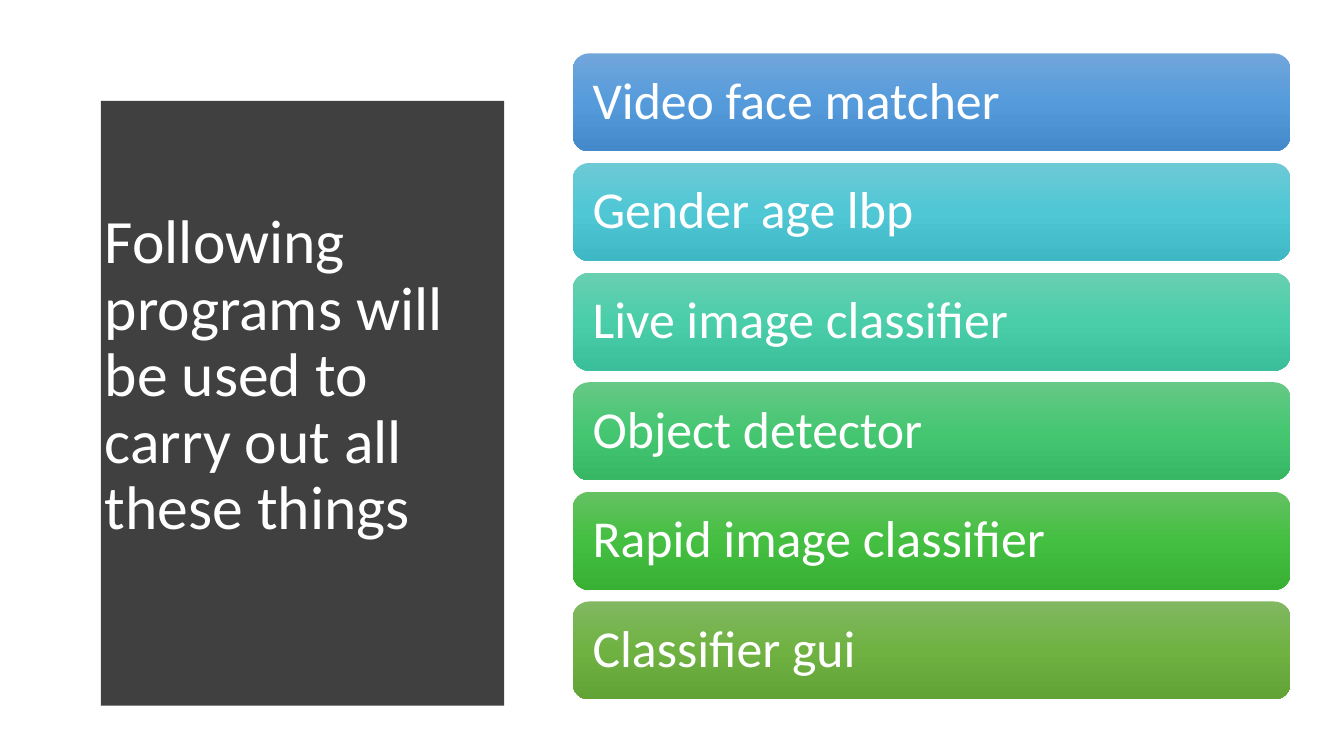
import copy
from dataclasses import dataclass

import pptx
import pptx.dml.color
import pptx.enum.shapes
import pptx.enum.text
import pptx.util

Inches = pptx.util.Inches
RGB = pptx.dml.color.RGBColor.from_string


@dataclass(frozen=True)
class Theme:
    font: str = "Calibri"
    text: str = "FFFFFF"
    panel: str = "404040"
    title_size: int = 44
    item_size: int = 37


THEME = Theme()
WIDTH, HEIGHT = 13.33, 7.5
TITLE = "Following programs will be used to carry out all these things"
PROGRAMS = [
    ("Video face matcher", ("71A6DB", "559BDB", "448ACA")),
    ("Gender age lbp", ("6DCAD5", "4FC7D5", "3FB7C4")),
    ("Live image classifier", ("69CFB1", "4ACEAA", "3BBE9A")),
    ("Object detector", ("66C885", "45C772", "37B764")),
    ("Rapid image classifier", ("64C162", "44BF41", "37B034")),
    ("Classifier gui", ("81B861", "6FB242", "62A336")),
]


def write(shape, text, size, inset=0.1):
    tf = shape.text_frame
    tf.word_wrap = True
    tf.auto_size = pptx.enum.text.MSO_AUTO_SIZE.NONE
    tf.vertical_anchor = pptx.enum.text.MSO_ANCHOR.MIDDLE
    tf.margin_left = tf.margin_right = Inches(inset)
    tf.margin_top = tf.margin_bottom = Inches(inset / 2)
    p = tf.paragraphs[0]
    p.alignment = pptx.enum.text.PP_ALIGN.LEFT
    p.line_spacing = 0.9
    r = p.add_run()
    r.text = text
    r.font.name = THEME.font
    r.font.size = pptx.util.Pt(size)
    r.font.color.rgb = RGB(THEME.text)


def fill_gradient(shape, colors):
    shape.fill.gradient()
    shape.fill.gradient_angle = 270
    first = shape.element.spPr.gradFill.gsLst[0]
    first.addnext(copy.deepcopy(first))
    for i, (stop, color) in enumerate(zip(shape.fill.gradient_stops, colors)):
        stop.position = i / (len(colors) - 1)
        stop.color.rgb = RGB(color)


def add_title_panel(s, x, y, w, h, bulge=0.05, steps=40):
    edge = []
    for i in range(steps + 1):
        t = i / steps
        depth = bulge * (2 * t - 1) ** 2
        edge.append((x + w * (1 - depth), y + h * t))
    builder = s.shapes.build_freeform(x, y, scale=Inches(1))
    builder.add_line_segments(edge + [(x, y + h)], close=True)
    panel = builder.convert_to_shape()
    panel.shadow.inherit = False
    panel.fill.solid()
    panel.fill.fore_color.rgb = RGB(THEME.panel)
    panel.line.fill.background()

    title = s.shapes.title
    panel.element.addnext(title.element)
    title.left, title.top = Inches(x + 0.085 * w), Inches(y + 0.092 * h)
    title.width, title.height = Inches(0.78 * w), Inches(0.814 * h)
    write(title, TITLE, THEME.title_size)


def add_program_list(s, x, y, w, h, gap=0.115):
    bar_h = (h - gap * (len(PROGRAMS) - 1)) / len(PROGRAMS)
    for i, (name, colors) in enumerate(PROGRAMS):
        bar = s.shapes.add_shape(
            pptx.enum.shapes.MSO_SHAPE.ROUNDED_RECTANGLE,
            Inches(x), Inches(y + i * (bar_h + gap)), Inches(w), Inches(bar_h),
        )
        bar.shadow.inherit = False
        bar.line.fill.background()
        fill_gradient(bar, colors)
        write(bar, name, THEME.item_size, inset=0.15)


def main():
    prs = pptx.Presentation()
    prs.slide_width, prs.slide_height = Inches(WIDTH), Inches(HEIGHT)
    s = prs.slides.add_slide(prs.slide_layouts[5])
    add_title_panel(s, 0.04 * WIDTH, 0.07 * HEIGHT, 4.79, 6.44)
    add_program_list(s, 5.68, 0.53, 7.12, 6.41)
    prs.save("out.pptx")


if __name__ == "__main__":
    main()
